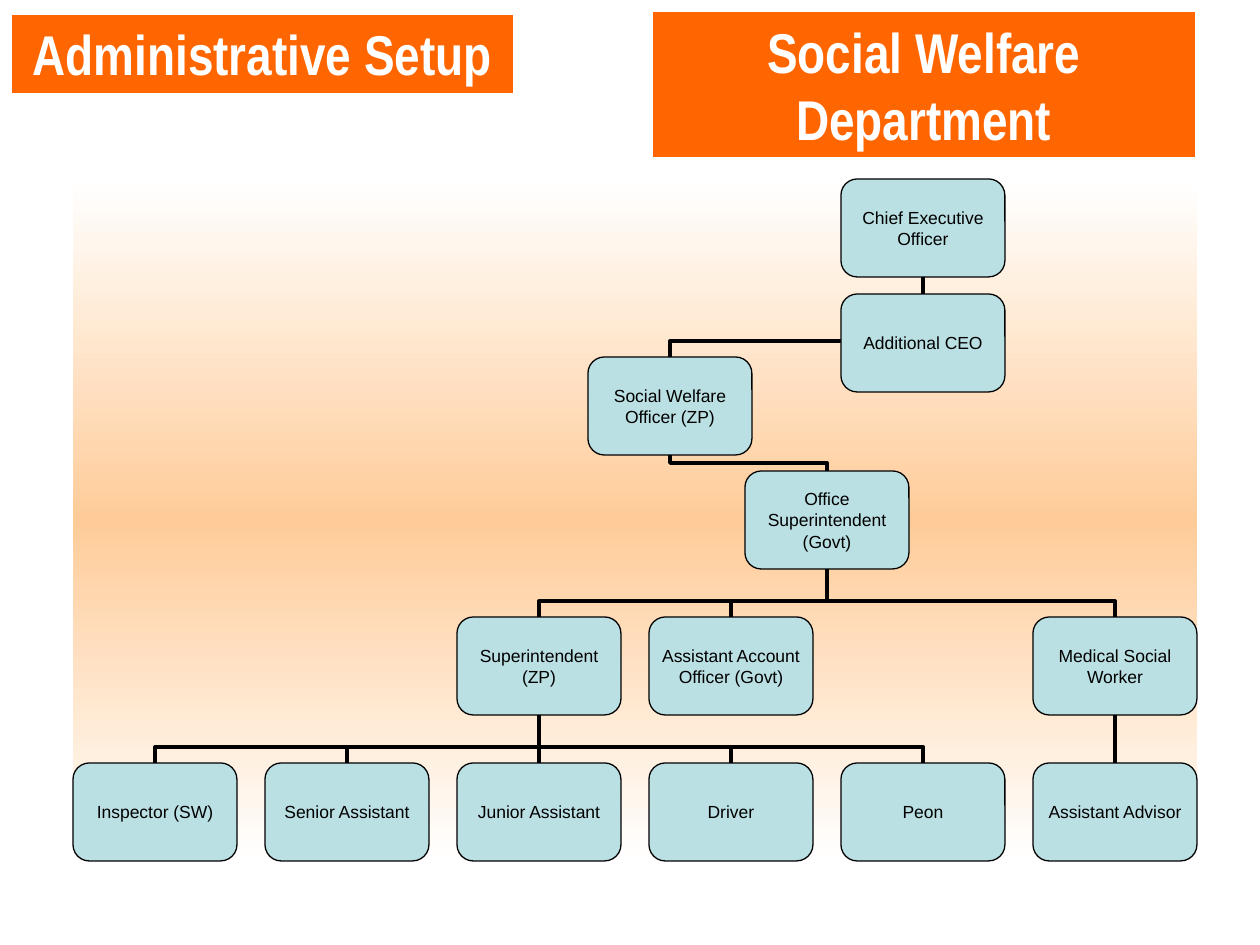
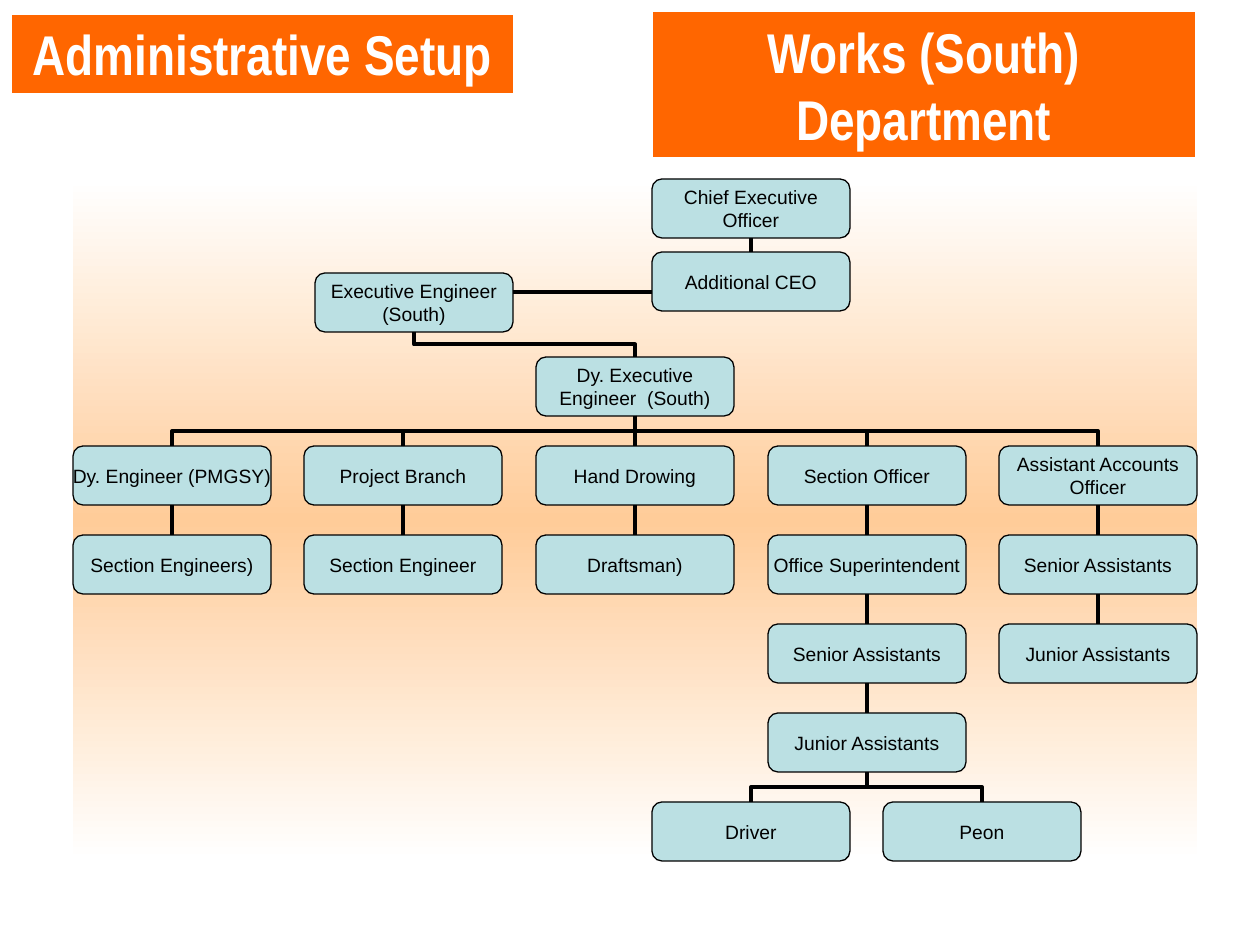
from copy import deepcopy

from pptx import Presentation
from pptx.dml.color import RGBColor
from pptx.enum.shapes import MSO_CONNECTOR, MSO_SHAPE
from pptx.enum.text import MSO_ANCHOR, MSO_AUTO_SIZE, PP_ALIGN
from pptx.oxml.ns import qn
from pptx.util import Pt

# Shared look
SCALE = 914400 / 126
ORANGE, PEACH, TEAL = "FF6600", "FFCC99", "BBE0E3"
WHITE, BLACK = "FFFFFF", "000000"
BAND = (11, 14, 503, 80)
TITLE = (652, 11, 544, 147)
PANEL = (73, 179, 1124, 682)
DROP = 16  # longest drop from a bus line to the box below it
FLAT = {"Dy. Engineer (PMGSY)"}  # fills its box on a single line

# Each post: key, text, column, top within the panel, key of its superior
WELFARE = [
    ("ceo", "Chief Executive Officer", 4, 0, None),
    ("swo", "Social Welfare Officer (ZP)", 2.68, 178, "ceo"),
    ("add", "Additional CEO", 4, 115, "ceo"),
    ("off", "Office Superintendent (Govt)", 3.5, 292, "swo"),
    ("sup", "Superintendent (ZP)", 2, 438, "off"),
    ("acc", "Assistant Account Officer (Govt)", 3, 438, "off"),
    ("med", "Medical Social Worker", 5, 438, "off"),
    ("ins", "Inspector (SW)", 0, 584, "sup"),
    ("sen", "Senior Assistant", 1, 584, "sup"),
    ("jun", "Junior Assistant", 2, 584, "sup"),
    ("dri", "Driver", 3, 584, "sup"),
    ("peo", "Peon", 4, 584, "sup"),
    ("adv", "Assistant Advisor", 5, 584, "med"),
]
WORKS = [
    ("ceo", "Chief Executive Officer", 2.5, 0, None),
    ("add", "Additional CEO", 2.5, 73, "ceo"),
    ("exe", "Executive Engineer (South)", 1.045, 94, None),
    ("dep", "Dy. Executive Engineer  (South)", 2, 178, "exe"),
    ("eng", "Dy. Engineer (PMGSY)", 0, 267, "dep"),
    ("pro", "Project Branch", 1, 267, "dep"),
    ("dra", "Hand Drowing", 2, 267, "dep"),
    ("sec", "Section Officer", 3, 267, "dep"),
    ("acc", "Assistant Accounts Officer", 4, 267, "dep"),
    ("sen", "Section Engineers)", 0, 356, "eng"),
    ("one", "Section Engineer", 1, 356, "pro"),
    ("man", "Draftsman)", 2, 356, "dra"),
    ("off", "Office Superintendent", 3, 356, "sec"),
    ("sa1", "Senior Assistants", 4, 356, "acc"),
    ("sa2", "Senior Assistants", 3, 445, "off"),
    ("ja1", "Junior Assistants", 4, 445, "sa1"),
    ("ja2", "Junior Assistants", 3, 534, "sa2"),
    ("dri", "Driver", 2.5, 623, "ja2"),
    ("peo", "Peon", 3.5, 623, "ja2"),
]


def px(*vals):
    return [round(v * SCALE) for v in vals]


def rgb(hue):
    return RGBColor.from_string(hue)


def paint(shape, fill, line, width):
    shape.fill.solid()
    shape.fill.fore_color.rgb = rgb(fill)
    shape.line.color.rgb = rgb(line)
    shape.line.width = Pt(width)


def write(shape, text, face, size, hue, bold=False):
    frame = shape.text_frame
    frame.text = text
    frame.word_wrap = text not in FLAT
    frame.auto_size = MSO_AUTO_SIZE.NONE
    para = frame.paragraphs[0]
    para.alignment = PP_ALIGN.CENTER
    font = para.runs[0].font
    font.name, font.size, font.bold = face, Pt(size), bold
    font.color.rgb = rgb(hue)
    return frame


def add(slide, kind, box):
    shape = slide.shapes.add_shape(kind, *px(*box))
    shape.shadow.inherit = False
    return shape


def head(shape, text):
    """Orange heading with white text."""
    paint(shape, ORANGE, WHITE, 1)
    frame = write(shape, text, "Arial Narrow", 32, WHITE, True)
    frame.vertical_anchor = MSO_ANCHOR.TOP
    frame.margin_left, frame.margin_right = px(13, 13)
    frame.margin_top, frame.margin_bottom = px(6, 6)


def panel(slide, box):
    """Backdrop that fades from white to peach and back."""
    shape = add(slide, MSO_SHAPE.RECTANGLE, box)
    shape.line.fill.background()
    shape.fill.gradient()
    shape.fill.gradient_angle = 270
    stops = shape._element.spPr.find(qn("a:gradFill")).find(qn("a:gsLst"))
    stops.insert(1, deepcopy(stops[0]))
    hues = (WHITE, PEACH, WHITE)
    for step, (stop, hue) in enumerate(zip(shape.fill.gradient_stops, hues)):
        stop.position = step / 2
        stop.color.rgb = rgb(hue)


def wire(slide, kind, x1, y1, x2, y2):
    line = slide.shapes.add_connector(kind, *px(x1, y1, x2, y2))
    line.line.color.rgb = rgb(BLACK)
    line.line.width = Pt(2.25)
    props = line._element.spPr
    props.append(props.makeelement(qn("a:effectLst"), {}))
    return line


def bend(slide, x1, y1, x2, y2):
    """Elbow that leaves downwards, runs across and drops to the end."""
    wide, high = abs(x2 - x1), y2 - y1
    left, top = (x1 + x2 - high) / 2, (y1 + y2 - wide) / 2
    line = wire(slide, MSO_CONNECTOR.ELBOW, left, top, left + high, top + wide)
    props = line._element.spPr
    right = x2 > x1
    props.xfrm.set("rot", str((270 if right else 90) * 60000))
    if right:
        props.xfrm.set("flipH", "1")
    # Position of the crossbar along the fall
    turn = 1 - min(DROP, high / 2) / high
    geom = props.find(qn("a:prstGeom"))
    guides = geom.find(qn("a:avLst"))
    guides.append(guides.makeelement(qn("a:gd"), {
        "name": "adj1", "fmla": f"val {round(turn * 100000)}"}))


def post(slide, box, text, size):
    shape = add(slide, MSO_SHAPE.ROUNDED_RECTANGLE, box)
    paint(shape, TEAL, BLACK, 0.75)
    frame = write(shape, text, "Arial", size, BLACK)
    frame.vertical_anchor = MSO_ANCHOR.MIDDLE
    frame.margin_left = frame.margin_right = 0
    frame.margin_top = frame.margin_bottom = 0
    return shape


def tree(slide, box, posts, cols, wide, high, size):
    """Boxes on even columns, each linked to its superior."""
    left, top, span, _ = box
    pitch = (span - wide) / (cols - 1)
    made = {}
    for key, text, col, down, boss in posts:
        x, y = round(left + col * pitch), top + down
        shape = post(slide, (x, y, wide, high), text, size)
        made[key] = shape, x, y
        if boss is None:
            continue
        over, bx, by = made[boss]
        ends = bx + wide / 2, by + high, x + wide / 2, y
        if bx == x:
            line = wire(slide, MSO_CONNECTOR.STRAIGHT, *ends)
            line.begin_connect(over, 2)
            line.end_connect(shape, 0)
        else:
            bend(slide, *ends)
    return made


def page(deck, title, posts, cols, wide, high, size):
    slide = deck.slides.add_slide(deck.slide_layouts[5])
    # Headings
    name = slide.shapes.title
    name.left, name.top, name.width, name.height = px(*TITLE)
    head(name, title)
    head(add(slide, MSO_SHAPE.RECTANGLE, BAND), "Administrative Setup")
    # Chart
    panel(slide, PANEL)
    return slide, tree(slide, PANEL, posts, cols, wide, high, size)


def main():
    deck = Presentation()
    deck.slide_width, deck.slide_height = px(1260, 945)
    page(deck, "Social Welfare Department", WELFARE, 6, 164, 98, 10)
    wide = 198
    slide, made = page(deck, "Works (South) Department", WORKS, 5, wide, 59, 11)
    # Sideways link, midway between the centres of both boxes
    _, x1, y1 = made["exe"]
    _, x2, y2 = made["add"]
    mid = (y1 + y2 + 59) / 2
    wire(slide, MSO_CONNECTOR.STRAIGHT, x1 + wide, mid, x2, mid)
    deck.save("out.pptx")


if __name__ == "__main__":
    main()
